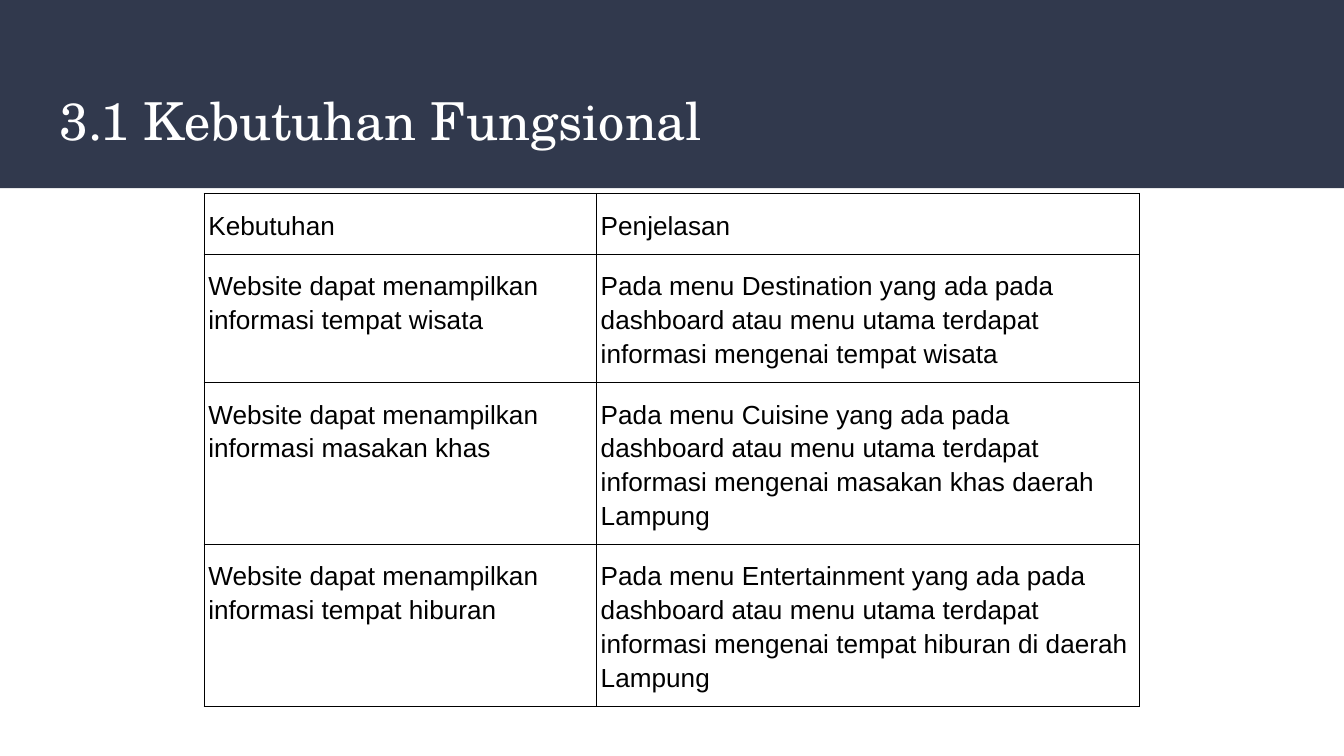
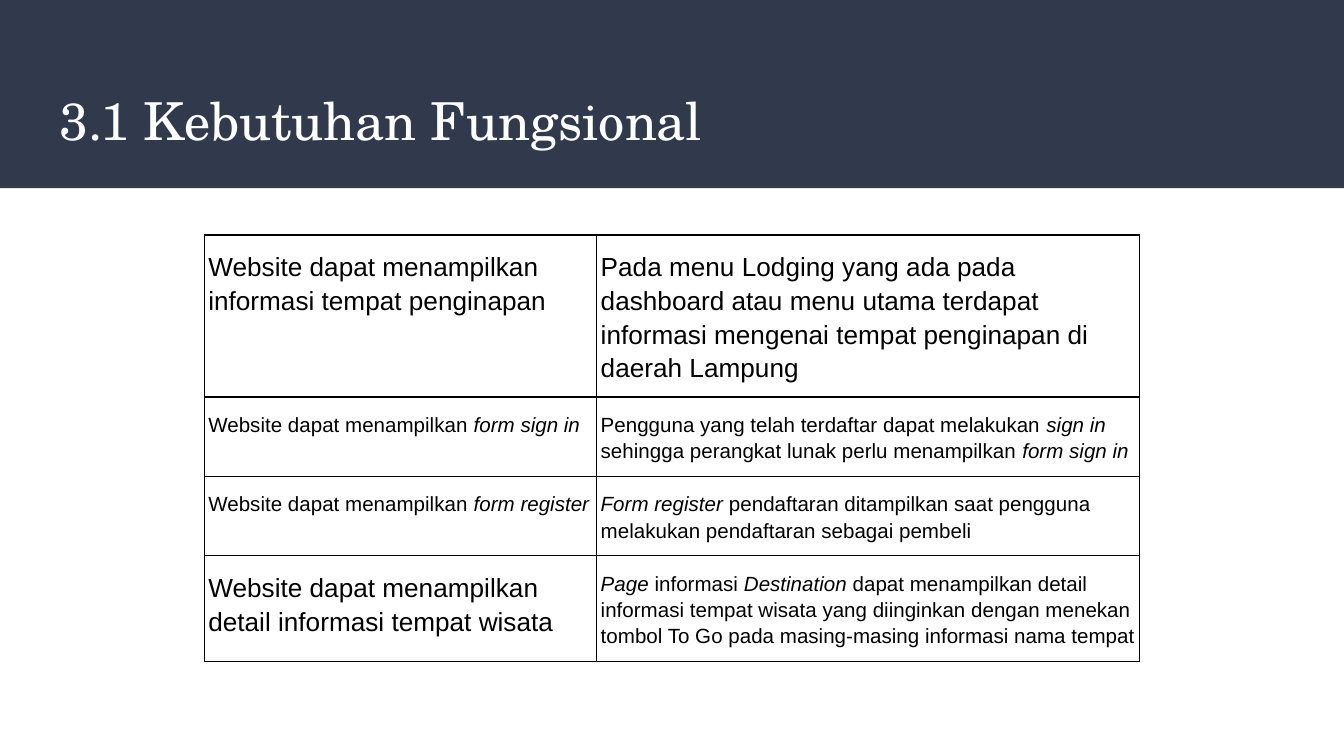
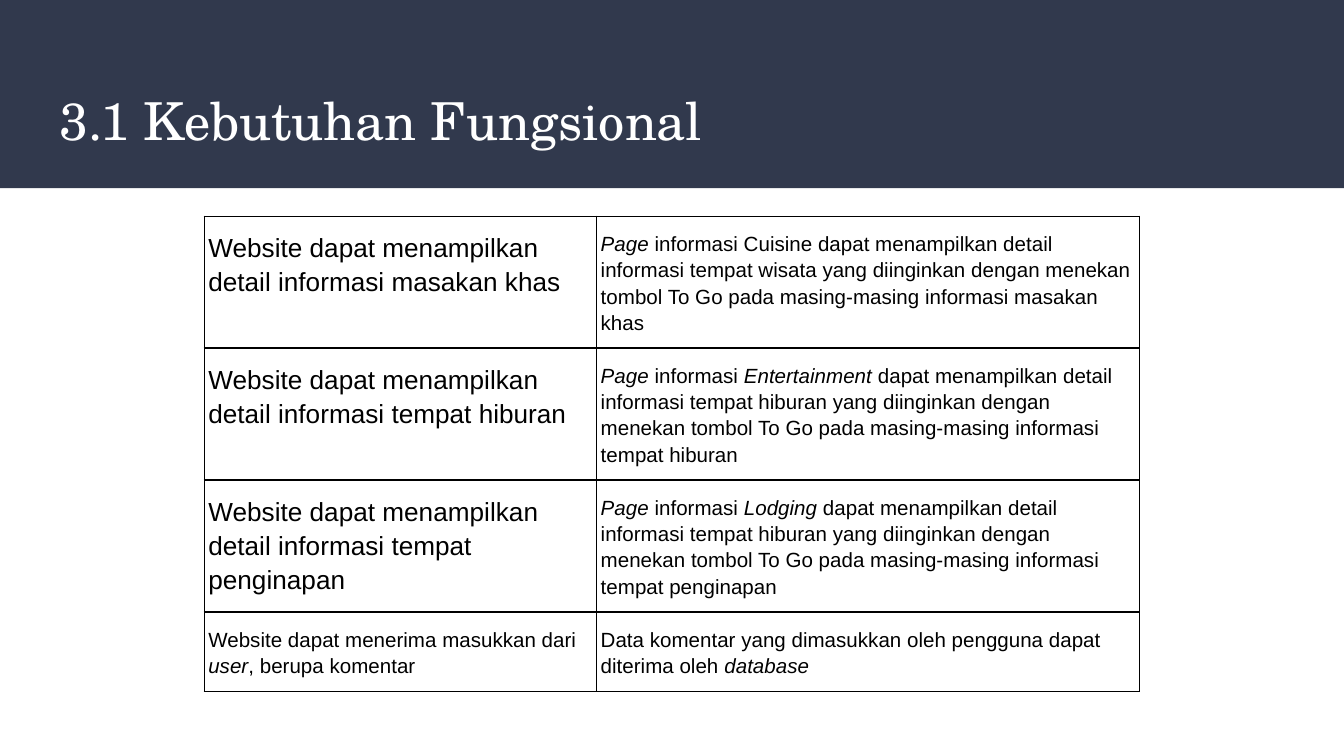
from dataclasses import dataclass

from lxml.etree import SubElement
from pptx import Presentation
from pptx.dml.color import RGBColor
from pptx.enum.shapes import MSO_SHAPE as Shape
from pptx.enum.text import MSO_ANCHOR as Anchor, MSO_AUTO_SIZE as AutoSize, PP_ALIGN as Align
from pptx.oxml.ns import qn
from pptx.slide import Slide, SlideLayout
from pptx.table import _Cell as Cell
from pptx.util import Inches, Pt

# Shared look
NAVY = RGBColor(0x31, 0x39, 0x4D)
WHITE = RGBColor(0xFF, 0xFF, 0xFF)
BLACK = RGBColor(0x00, 0x00, 0x00)
TITLE_FONT, BODY_FONT = "TeX Gyre Schola", "Arial"
TITLE = "3.1 Kebutuhan Fungsional"
WIDTH, HEIGHT = Inches(10), Inches(5.625)
LARGE, SMALL = 14, 11
BORDER = Pt(0.75)
SIDES = ("a:lnL", "a:lnR", "a:lnT", "a:lnB")

# Table grid, as percentages of the slide width
TABLE_LEFT = 15.2
COLUMNS = (29.2, 40.4)

# Least row heights in inches; rows grow with their text
HEAD_ROW, LOW_ROW, TALL_ROW = 0.2, 0.39, 0.57


def across(percent: float) -> int:
    return round(WIDTH * percent / 100)


def down(percent: float) -> int:
    return round(HEIGHT * percent / 100)


@dataclass(frozen=True)
class Need:
    """A table row; text between asterisks is italic."""
    name: str
    detail: str
    height: float = LOW_ROW
    name_size: int = LARGE
    detail_size: int = LARGE
    anchor: Anchor = Anchor.TOP


@dataclass(frozen=True)
class NeedsPage:
    table_top: float
    needs: tuple[Need, ...]


def menu_need(name: str, menu: str, topic: str, height: float = TALL_ROW) -> Need:
    return Need(
        f"Website dapat menampilkan informasi {name}",
        f"Pada menu {menu} yang ada pada dashboard atau menu utama "
        f"terdapat informasi mengenai {topic}",
        height,
    )


def detail_need(name: str, menu: str, topic: str, target: str) -> Need:
    return Need(
        f"Website dapat menampilkan detail informasi {name}",
        f"*Page* informasi {menu} dapat menampilkan detail informasi {topic} yang "
        f"diinginkan dengan menekan tombol To Go pada masing-masing informasi {target}",
        TALL_ROW, detail_size=SMALL,
    )


def small_need(name: str, detail: str) -> Need:
    return Need(name, detail, name_size=SMALL, detail_size=SMALL)


PAGES = (
    NeedsPage(25.6, (
        Need("Kebutuhan", "Penjelasan", HEAD_ROW, anchor=Anchor.BOTTOM),
        menu_need("tempat wisata", "Destination", "tempat wisata", LOW_ROW),
        menu_need("masakan khas", "Cuisine", "masakan khas daerah Lampung", LOW_ROW),
        menu_need("tempat hiburan", "Entertainment", "tempat hiburan di daerah Lampung"),
    )),
    NeedsPage(31.1, (
        menu_need("tempat penginapan", "Lodging", "tempat penginapan di daerah Lampung"),
        small_need("Website dapat menampilkan *form sign in*",
                   "Pengguna yang telah terdaftar dapat melakukan *sign in* sehingga "
                   "perangkat lunak perlu menampilkan *form sign in*"),
        small_need("Website dapat menampilkan *form register*",
                   "*Form register* pendaftaran ditampilkan saat pengguna melakukan "
                   "pendaftaran sebagai pembeli"),
        detail_need("tempat wisata", "*Destination*", "tempat wisata", "nama tempat"),
    )),
    NeedsPage(28.6, (
        detail_need("masakan khas", "Cuisine", "tempat wisata", "masakan khas"),
        detail_need("tempat hiburan", "*Entertainment*", "tempat hiburan", "tempat hiburan"),
        detail_need("tempat penginapan", "*Lodging*", "tempat hiburan", "tempat penginapan"),
        small_need("Website dapat menerima masukkan dari *user*, berupa komentar",
                   "Data komentar yang dimasukkan oleh pengguna dapat diterima oleh *database*"),
    )),
)


def prepare_layout(layout: SlideLayout) -> None:
    """Keep only the title placeholder and place it on the band."""
    for holder in list(layout.placeholders):
        if holder.placeholder_format.idx:
            holder.element.getparent().remove(holder.element)
    title = layout.placeholders[0]
    title.left, title.top = across(3.4), down(9.8)
    title.width, title.height = across(93.2), down(12.1)


def add_band(page: Slide, layout: SlideLayout) -> None:
    """Draw the title band and move it behind everything on the layout."""
    band = page.shapes.add_shape(Shape.RECTANGLE, 0, 0, WIDTH, down(24.9))
    band.shadow.inherit = False
    band.fill.solid()
    band.fill.fore_color.rgb = NAVY
    band.line.fill.background()
    layout.shapes.element.insert(2, band.element)


def write_title(page: Slide) -> None:
    frame = page.shapes.title.text_frame
    frame.text = TITLE
    frame.word_wrap = True
    frame.auto_size = AutoSize.NONE
    frame.vertical_anchor = Anchor.MIDDLE
    frame.margin_left = frame.margin_right = Inches(0.1)
    frame.margin_top = frame.margin_bottom = Inches(0.1)
    para = frame.paragraphs[0]
    para.alignment = Align.LEFT
    para.font.name, para.font.size = TITLE_FONT, Pt(28)
    para.font.color.rgb = WHITE


def add_borders(cell: Cell) -> None:
    properties = cell._tc.get_or_add_tcPr()
    for side in SIDES:
        line = SubElement(properties, qn(side), w=str(BORDER))
        fill = SubElement(line, qn("a:solidFill"))
        SubElement(fill, qn("a:srgbClr"), val=str(BLACK))


def write_cell(cell: Cell, text: str, size: int, anchor: Anchor) -> None:
    cell.margin_left = cell.margin_right = Inches(0.03)
    cell.margin_top = cell.margin_bottom = Inches(0.1)
    cell.vertical_anchor = anchor
    add_borders(cell)
    cell.fill.background()
    para = cell.text_frame.paragraphs[0]
    para.line_spacing = 1.15
    para.font.name, para.font.size = BODY_FONT, Pt(size)
    para.font.color.rgb = BLACK
    for index, part in enumerate(text.split("*")):
        if part:
            span = para.add_run()
            span.text = part
            if index % 2:
                span.font.italic = True


def add_needs_table(page: Slide, content: NeedsPage) -> None:
    needs = content.needs
    table = page.shapes.add_table(
        len(needs), len(COLUMNS), across(TABLE_LEFT), down(content.table_top),
        across(sum(COLUMNS)), Inches(sum(need.height for need in needs)),
    ).table
    table.first_row = table.horz_banding = False
    for column, share in zip(table.columns, COLUMNS):
        column.width = across(share)
    for row, need in zip(table.rows, needs):
        row.height = Inches(need.height)
        write_cell(row.cells[0], need.name, need.name_size, need.anchor)
        write_cell(row.cells[1], need.detail, need.detail_size, need.anchor)


def main() -> None:
    deck = Presentation()
    deck.slide_width, deck.slide_height = WIDTH, HEIGHT
    layout = deck.slide_layouts.get_by_name("Title Only")
    prepare_layout(layout)
    for number, content in enumerate(PAGES):
        page = deck.slides.add_slide(layout)
        if number == 0:
            add_band(page, layout)
        write_title(page)
        add_needs_table(page, content)
    deck.save("out.pptx")


if __name__ == "__main__":
    main()
